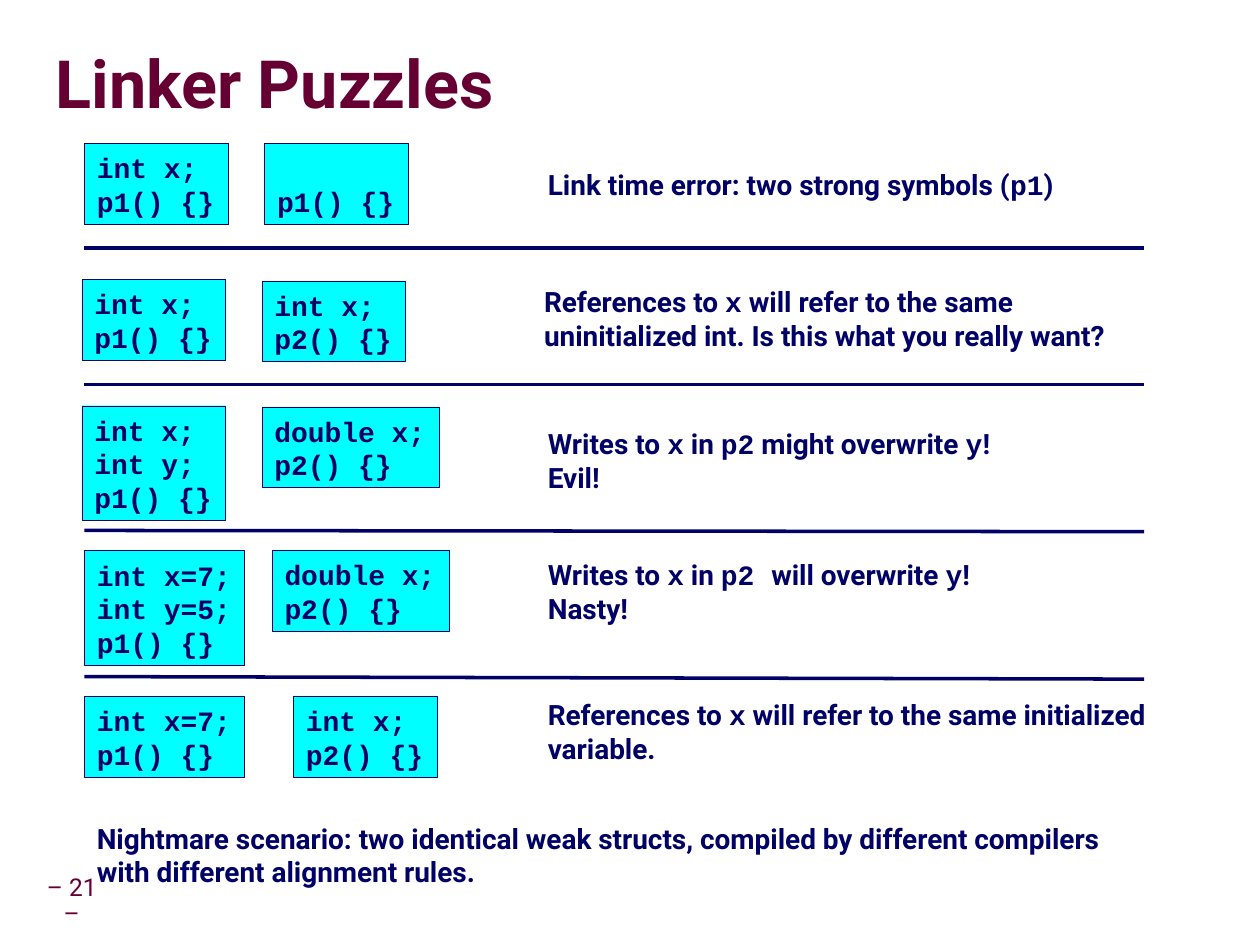
from lxml import etree
from pptx import Presentation
from pptx.dml.color import RGBColor
from pptx.enum.shapes import MSO_CONNECTOR, MSO_SHAPE
from pptx.enum.text import MSO_ANCHOR, PP_ALIGN
from pptx.oxml.ns import qn
from pptx.util import Inches, Pt

TOP, MIDDLE, BOTTOM = MSO_ANCHOR.TOP, MSO_ANCHOR.MIDDLE, MSO_ANCHOR.BOTTOM
LEFT, CENTER = PP_ALIGN.LEFT, PP_ALIGN.CENTER
RECTANGLE, STRAIGHT = MSO_SHAPE.RECTANGLE, MSO_CONNECTOR.STRAIGHT
COLORS = {"navy": "000066", "maroon": "660033", "cyan": "00FFFF", "shadow": "969696"}
SANS, MONO = "Roboto", "Courier New"

PUZZLES = [
    {"top": 1.14,
     "modules": [(0.67, 0, ["int x;", "p1() {}"]), (2.1, 0, ["", "p1() {}"])],
     "answer": (4.25, 0.14, 4.48, ["Link time error: two strong symbols (`p1`)"])},
    {"top": 2.22,
     "modules": [(0.65, 0, ["int x;", "p1() {}"]), (2.08, 0.01, ["int x;", "p2() {}"])],
     "answer": (4.22, -0.01, 4.97, ["References to `x` will refer to the same ",
                                    "uninitialized int. Is this what you really want?"])},
    {"top": 3.22,
     "modules": [(0.65, 0, ["int x;", "int y;", "p1() {}"]),
                 (2.08, 0.01, ["double x;", "p2() {}"])],
     "answer": (4.25, 0.12, 3.93, ["Writes to `x` in `p2` might overwrite `y`!", "Evil!"])},
    {"top": 4.37,
     "modules": [(0.67, 0, ["int x=7;", "int y=5;", "p1() {}"]),
                 (2.16, 0, ["double x;", "p2() {}"])],
     "answer": (4.25, 0.01, 3.76, ["Writes to `x` in `p2 `will overwrite `y`!", "Nasty! "])},
    {"top": 5.53,
     "modules": [(0.67, 0, ["int x=7;", "p1() {}"]), (2.33, 0, ["int x;", "p2() {}"])],
     "answer": (4.25, -0.04, 5.23, ["References to `x` will refer to the same initialized",
                                    "variable."])},
]
DIVIDERS = [(1.97, 1.97), (3.05, 3.05), (4.21, 4.22), (5.37, 5.39)]
NIGHTMARE = ["Nightmare scenario: two identical weak structs, compiled by different compilers",
             "with different alignment rules. "]


def color(name):
    """Return the named colour."""
    return RGBColor.from_string(COLORS[name])


def write(box, lines, font=SANS, size=16, ink="navy", bold=True, align=LEFT,
          spacing=1.0, anchor=TOP, wrap=False, margins=(0.1, 0.05)):
    """Fill a box with lines, setting parts between backticks in the code font."""
    frame = box.text_frame
    frame.word_wrap = wrap
    frame.vertical_anchor = anchor
    frame.margin_left = frame.margin_right = Inches(margins[0])
    frame.margin_top = frame.margin_bottom = Inches(margins[1])
    for index, line in enumerate(lines):
        para = frame.add_paragraph() if index else frame.paragraphs[0]
        para.alignment = align
        para.line_spacing = spacing
        for part, text in enumerate(line.split("`")):
            if text:
                span = para.add_run()
                span.text = text
                span.font.name = MONO if part % 2 else font
                span.font.size = Pt(size)
                span.font.bold = bold
                span.font.color.rgb = color(ink)


def add_text(page, left, top, width, height, lines, **style):
    """Place a text box."""
    box = page.shapes.add_textbox(Inches(left), Inches(top), Inches(width), Inches(height))
    write(box, lines, **style)
    return box


def add_title(page, left, top, width, height, text):
    """Place the title with its text shadow."""
    box = add_text(page, left, top, width, height, [text], size=38, ink="maroon",
                   spacing=0.87, anchor=MIDDLE, wrap=True, margins=(0, 0))
    properties = box.text_frame.paragraphs[0].runs[0].font._element
    effects = etree.Element(qn("a:effectLst"))
    shadow = etree.SubElement(effects, qn("a:outerShdw"), dist="53882", dir="2700000")
    etree.SubElement(shadow, qn("a:srgbClr"), val=COLORS["shadow"])
    properties.find(qn("a:solidFill")).addnext(effects)


def add_module(page, left, top, lines):
    """Place a code box sized by its lines, with the code resting on its floor."""
    width = 0.2 + 0.134 * max(map(len, lines))
    height = 0.1 + 0.27 * len(lines)
    box = page.shapes.add_shape(RECTANGLE, Inches(left), Inches(top),
                                Inches(width), Inches(height))
    box.shadow.inherit = False
    box.fill.solid()
    box.fill.fore_color.rgb = color("cyan")
    box.line.color.rgb = color("navy")
    box.line.width = Pt(0.25)
    write(box, [line for line in lines if line], font=MONO, anchor=BOTTOM)


def add_puzzle(page, top, modules, answer):
    """Place one puzzle: its code boxes and the answer beside them."""
    for left, drop, lines in modules:
        add_module(page, left, top + drop, lines)
    left, drop, width, lines = answer
    add_text(page, left, top + drop, width, 0.1 + 0.27 * len(lines), lines)


def add_divider(page, left, right, start, end):
    """Draw the rule between two puzzles."""
    rule = page.shapes.add_connector(STRAIGHT, Inches(left), Inches(start),
                                     Inches(right), Inches(end))
    rule.line.color.rgb = color("navy")
    rule.line.width = Pt(2)
    etree.SubElement(rule._element.spPr, qn("a:effectLst"))


def main():
    """Build the slide and save it."""
    deck = Presentation()
    deck.slide_width, deck.slide_height = Inches(10), Inches(7.5)
    page = deck.slides.add_slide(deck.slide_layouts[6])
    add_text(page, 0.27, 7, 0.6, 0.31, ["– 21 –"], size=14, ink="maroon", bold=False,
             align=CENTER, spacing=0.9, anchor=MIDDLE, wrap=True, margins=(0.05, 0.05))
    add_title(page, 0.44, 0.27, 9.53, 0.85, "Linker Puzzles")
    for puzzle in PUZZLES:
        add_puzzle(page, **puzzle)
    for start, end in DIVIDERS:
        add_divider(page, 0.67, 9.08, start, end)
    add_text(page, 0.67, 6.47, 8.67, 0.64, NIGHTMARE)
    deck.save("out.pptx")


main()
